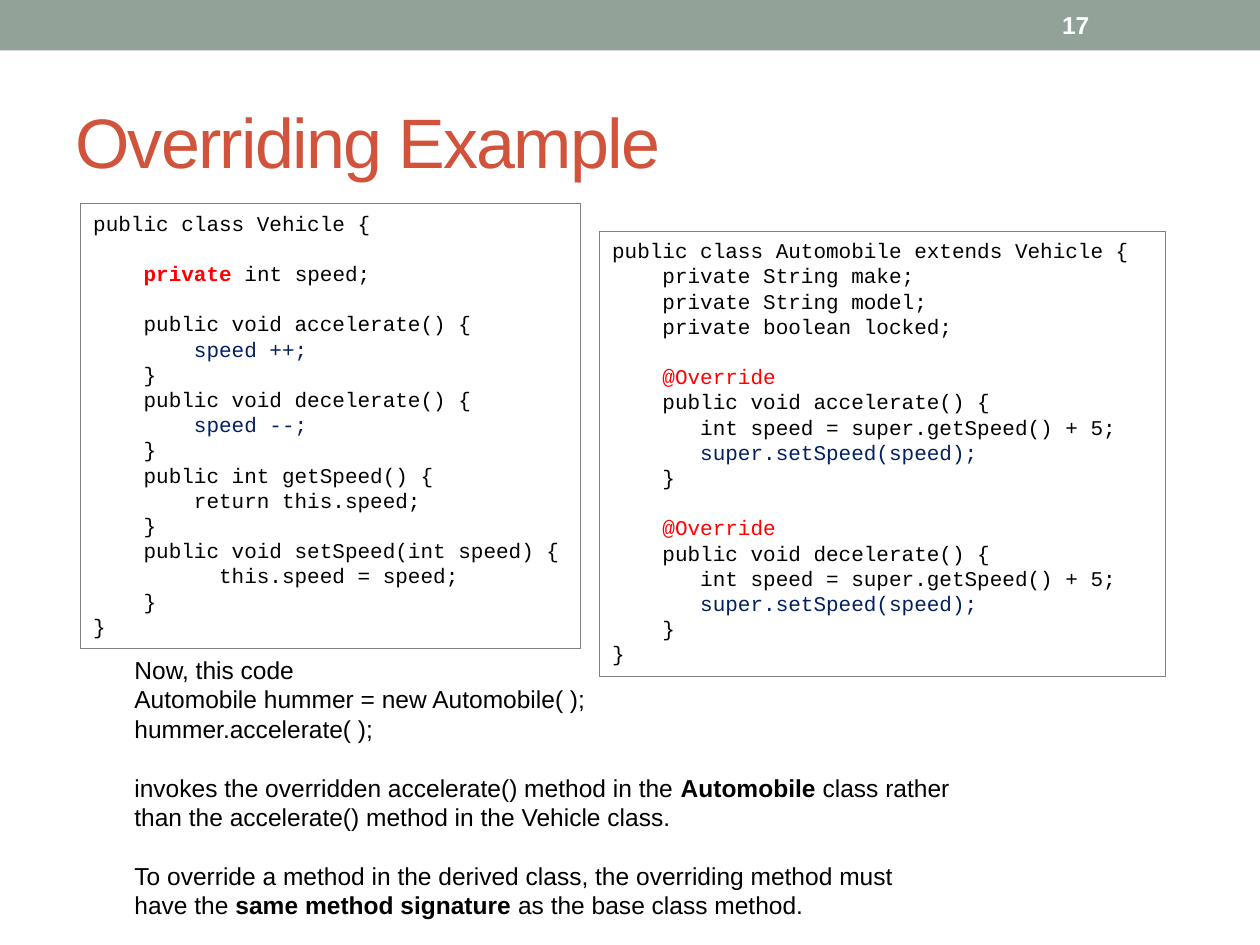
import pptx
import pptx.util
import pptx.dml.color
import pptx.enum.shapes
import pptx.enum.text

Cm = pptx.util.Cm
Pt = pptx.util.Pt
RGBColor = pptx.dml.color.RGBColor
RECTANGLE = pptx.enum.shapes.MSO_SHAPE.RECTANGLE
TOP = pptx.enum.text.MSO_ANCHOR.TOP
MIDDLE = pptx.enum.text.MSO_ANCHOR.MIDDLE
LEFT = pptx.enum.text.PP_ALIGN.LEFT

SAGE = RGBColor(0x93, 0xA2, 0x99)
RUST = RGBColor(0xD2, 0x53, 0x3C)
GREY = RGBColor(0x80, 0x80, 0x80)
BLACK = RGBColor(0x00, 0x00, 0x00)
WHITE = RGBColor(0xFF, 0xFF, 0xFF)
RED = RGBColor(0xFF, 0x00, 0x00)
NAVY = RGBColor(0x00, 0x20, 0x60)


def add_run(paragraph, text, font_name, size, colour=BLACK, bold=False):
    run = paragraph.add_run()
    run.text = text
    run.font.name = font_name
    run.font.size = Pt(size)
    run.font.color.rgb = colour
    run.font.bold = bold
    return run


def add_lines(frame, lines, font_name, size):
    frame.word_wrap = True
    frame.vertical_anchor = TOP
    paragraph = frame.paragraphs[0]
    gap = False
    for index, line in enumerate(lines):
        if line is None:
            gap = True
            continue
        if index:
            paragraph = frame.add_paragraph()
        paragraph.alignment = LEFT
        paragraph.line_spacing = Pt(size * 1.2)
        if gap:
            paragraph.space_before = Pt(size * 1.2)
        gap = False
        for run in line:
            add_run(paragraph, run[0], font_name, size, *run[1:])


presentation = pptx.Presentation()
presentation.slide_width = Cm(25.4)
presentation.slide_height = Cm(19.05)
slide = presentation.slides.add_slide(presentation.slide_layouts[6])

header = slide.shapes.add_shape(RECTANGLE, 0, 0, Cm(25.4), Cm(1.02))
header.shadow.inherit = False
header.fill.solid()
header.fill.fore_color.rgb = SAGE
header.line.fill.background()

title = slide.shapes.add_textbox(Cm(1.27), Cm(1.47), Cm(22.86), Cm(2.74))
title.text_frame.word_wrap = True
title.text_frame.vertical_anchor = MIDDLE
title_run = add_run(title.text_frame.paragraphs[0], "Overriding Example", "Arial", 40, RUST)
title_run.font._element.set("spc", "-100")

number = slide.shapes.add_textbox(Cm(21.16), Cm(0.05), Cm(2.97), Cm(0.91))
number.text_frame.word_wrap = True
number.text_frame.vertical_anchor = MIDDLE
add_run(number.text_frame.paragraphs[0], "17", "Arial", 14, WHITE, True)

vehicle_code = [
    [("public class Vehicle {",)],
    None,
    [("    private ", RED, True), ("int speed;",)],
    None,
    [("    public void accelerate() {",)],
    [("        speed ++;", NAVY)],
    [("    }",)],
    [("    public void decelerate() {",)],
    [("        speed --;", NAVY)],
    [("    }",)],
    [("    public int getSpeed() {",)],
    [("        return this.speed;",)],
    [("    }",)],
    [("    public void setSpeed(int speed) {",)],
    [("          this.speed = speed;",)],
    [("    }",)],
    [("}",)],
]

automobile_code = [
    [("public class Automobile extends Vehicle {",)],
    [("    private String make;",)],
    [("    private String model;",)],
    [("    private boolean locked;",)],
]
for method in ("accelerate", "decelerate"):
    automobile_code += [
        None,
        [("    @Override", RED)],
        [(f"    public void {method}() {{",)],
        [("       int speed = super.getSpeed() + 5;",)],
        [("       super.setSpeed(speed);", NAVY)],
        [("    }",)],
    ]
automobile_code.append([("}",)])

for left, top, width, code in (
    (1.63, 4.11, 10.08, vehicle_code),
    (12.09, 4.67, 11.4, automobile_code),
):
    panel = slide.shapes.add_shape(RECTANGLE, Cm(left), Cm(top), Cm(width), Cm(8.97))
    panel.shadow.inherit = False
    panel.fill.background()
    panel.line.color.rgb = GREY
    panel.line.width = Pt(0.75)
    add_lines(panel.text_frame, code, "Courier New", 12)

explanation_lines = [
    [("Now, this code",)],
    [("Automobile hummer = new Automobile( );",)],
    [("hummer.accelerate( );",)],
    None,
    [
        ("invokes the overridden accelerate() method in the ",),
        ("Automobile", BLACK, True),
        (" class rather than the accelerate() method in the Vehicle class.",),
    ],
    None,
    [
        ("To override a method in the derived class, the overriding method must have the ",),
        ("same method signature ", BLACK, True),
        ("as the base class method.",),
    ],
]
explanation = slide.shapes.add_textbox(Cm(2.46), Cm(13.08), Cm(16.99), Cm(5.64))
add_lines(explanation.text_frame, explanation_lines, "Arial", 14)

presentation.save("out.pptx")
